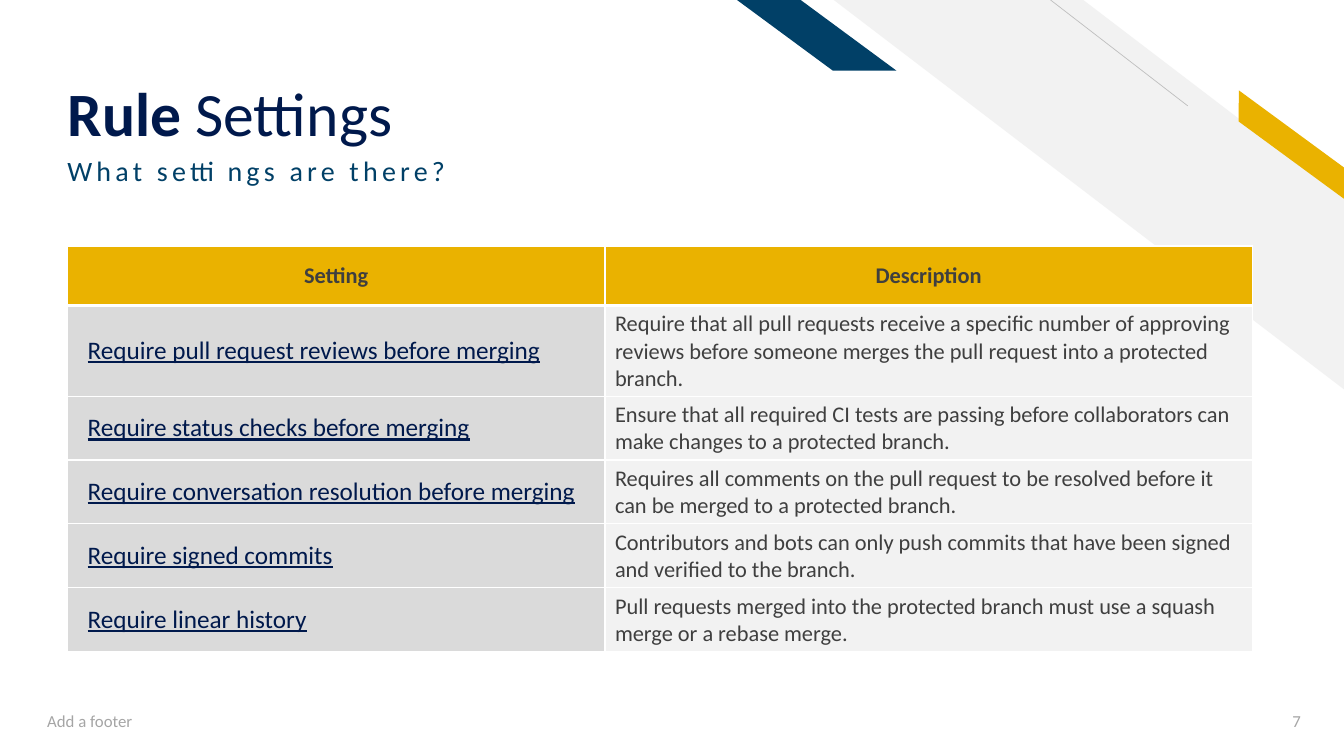
from dataclasses import dataclass

from lxml.etree import SubElement
from pptx import Presentation
from pptx.dml.color import RGBColor
from pptx.enum.shapes import MSO_CONNECTOR as Connector, MSO_SHAPE as Preset
from pptx.enum.text import MSO_ANCHOR as Anchor, PP_ALIGN as Align
from pptx.oxml.ns import qn
from pptx.util import Inches, Pt

TITLE = [("Rule ", True), ("Settings", False)]
SUBTITLE = "What settings are there?"
FOOTER = "Add a footer"
PAGE_NUMBER = "7"
HEADERS = ("Setting", "Description")
SETTINGS = [
    ("Require pull request reviews before merging",
     "Require that all pull requests receive a specific number of approving reviews "
     "before someone merges the pull request into a protected branch."),
    ("Require status checks before merging",
     "Ensure that all required CI tests are passing before collaborators can make "
     "changes to a protected branch."),
    ("Require conversation resolution before merging",
     "Requires all comments on the pull request to be resolved before it can be "
     "merged to a protected branch."),
    ("Require signed commits",
     "Contributors and bots can only push commits that have been signed and verified "
     "to the branch."),
    ("Require linear history",
     "Pull requests merged into the protected branch must use a squash merge or a "
     "rebase merge."),
]
COLUMN_WIDTHS = (5.33, 6.42)
ROW_HEIGHT = 0.59


@dataclass(frozen=True)
class Theme:
    font: str = "Calibri"
    navy: str = "00194C"
    blue: str = "014067"
    gold: str = "EAB200"
    ink: str = "3F3F3F"
    muted: str = "A5A5A5"
    hairline: str = "BFBFBF"
    setting_fill: str = "DADADA"
    pale: str = "F2F2F2"
    white: str = "FFFFFF"
    title_size: int = 44
    subtitle_size: int = 20
    setting_size: int = 18
    body_size: int = 16
    footer_size: int = 12


theme = Theme()


def rgb(value):
    return RGBColor.from_string(value)


def add_span(para, text, size, color, bold=False, underline=False):
    span = para.add_run()
    span.text = text
    font = span.font
    font.name, font.size, font.bold, font.underline = theme.font, Pt(size), bold, underline
    font.color.rgb = rgb(color)
    return span


def add_box(page, left, top, width, height, anchor):
    """Add a wrapping text box and return its first paragraph."""
    box = page.shapes.add_textbox(*map(Inches, (left, top, width, height)))
    box.text_frame.word_wrap = True
    box.text_frame.vertical_anchor = anchor
    return box.text_frame.paragraphs[0]


def add_band(page, preset, place, slant, color, rotation=0):
    """Add a slanted band, mirrored left to right."""
    band = page.shapes.add_shape(preset, *map(Inches, place))
    band.adjustments[0] = slant
    band.rotation = rotation
    band.shadow.inherit = False
    band.fill.solid()
    band.fill.fore_color.rgb = rgb(color)
    band.line.fill.background()
    band._element.spPr.find(qn("a:xfrm")).set("flipH", "1")


def add_decoration(page):
    add_band(page, Preset.DIAGONAL_STRIPE, (8.27, 0, 5.07, 3.87), 0.512, theme.pale)
    line = page.shapes.add_connector(
        Connector.STRAIGHT, *map(Inches, (11.78, 1.05, 10.42, 0)))
    line.line.color.rgb = rgb(theme.hairline)
    line.line.width = Pt(0.5)
    SubElement(line._element.spPr, qn("a:effectLst"))
    add_band(page, Preset.PARALLELOGRAM, (12.07, 1.31, 1.48, 0.25), 0.72, theme.gold, 36.3)
    add_band(page, Preset.PARALLELOGRAM, (7.31, 0, 1.58, 0.7), 1.356, theme.blue)


def add_headings(page):
    para = add_box(page, 0.57, 0.23, 9.11, 1.26, Anchor.BOTTOM)
    para._parent.margin_bottom = 0
    para.line_spacing = 0.9
    for text, bold in TITLE:
        add_span(para, text, theme.title_size, theme.navy, bold)
    para = add_box(page, 0.57, 1.51, 8.06, 0.67, Anchor.TOP)
    para.line_spacing = 0.9
    span = add_span(para, SUBTITLE, theme.subtitle_size, theme.blue)
    span.font._element.set("spc", "300")


def style_cell(cell, fill, top=1, bottom=1):
    """Set white borders, in points, then the fill."""
    cell.vertical_anchor = Anchor.MIDDLE
    properties = cell._tc.get_or_add_tcPr()
    for side, width in (("L", 1), ("R", 1), ("T", top), ("B", bottom)):
        border = SubElement(properties, qn(f"a:ln{side}"), w=str(Pt(width)))
        SubElement(SubElement(border, qn("a:solidFill")), qn("a:srgbClr"), val=theme.white)
    cell.fill.solid()
    cell.fill.fore_color.rgb = rgb(fill)


def add_settings_table(page):
    row_count = len(SETTINGS) + 1
    place = (0.67, 2.44, sum(COLUMN_WIDTHS), ROW_HEIGHT * row_count)
    table = page.shapes.add_table(row_count, len(HEADERS), *map(Inches, place)).table
    for column, width in zip(table.columns, COLUMN_WIDTHS):
        column.width = Inches(width)
    for row in table.rows:
        row.height = Inches(ROW_HEIGHT)
    for column, text in enumerate(HEADERS):
        cell = table.cell(0, column)
        style_cell(cell, theme.gold, bottom=3)
        para = cell.text_frame.paragraphs[0]
        para.alignment = Align.CENTER
        add_span(para, text, theme.body_size, theme.ink, bold=True)
    for row, (setting, description) in enumerate(SETTINGS, 1):
        top = 3 if row == 1 else 1
        name_cell, text_cell = table.cell(row, 0), table.cell(row, 1)
        style_cell(name_cell, theme.setting_fill, top)
        name_cell.margin_left = Inches(0.2)
        add_span(name_cell.text_frame.paragraphs[0], setting,
                 theme.setting_size, theme.navy, underline=True)
        style_cell(text_cell, theme.pale, top)
        add_span(text_cell.text_frame.paragraphs[0], description,
                 theme.body_size, theme.ink)


def add_footer(page):
    for text, left, width, align in ((FOOTER, 0.37, 4.5, Align.LEFT),
                                     (PAGE_NUMBER, 12.19, 0.81, Align.RIGHT)):
        para = add_box(page, left, 6.95, width, 0.4, Anchor.MIDDLE)
        para.alignment = align
        add_span(para, text, theme.footer_size, theme.muted)


def main():
    deck = Presentation()
    deck.slide_width, deck.slide_height = Inches(13.33), Inches(7.5)
    page = deck.slides.add_slide(deck.slide_layouts[6])
    add_decoration(page)
    add_headings(page)
    add_settings_table(page)
    add_footer(page)
    deck.save("out.pptx")


if __name__ == "__main__":
    main()
